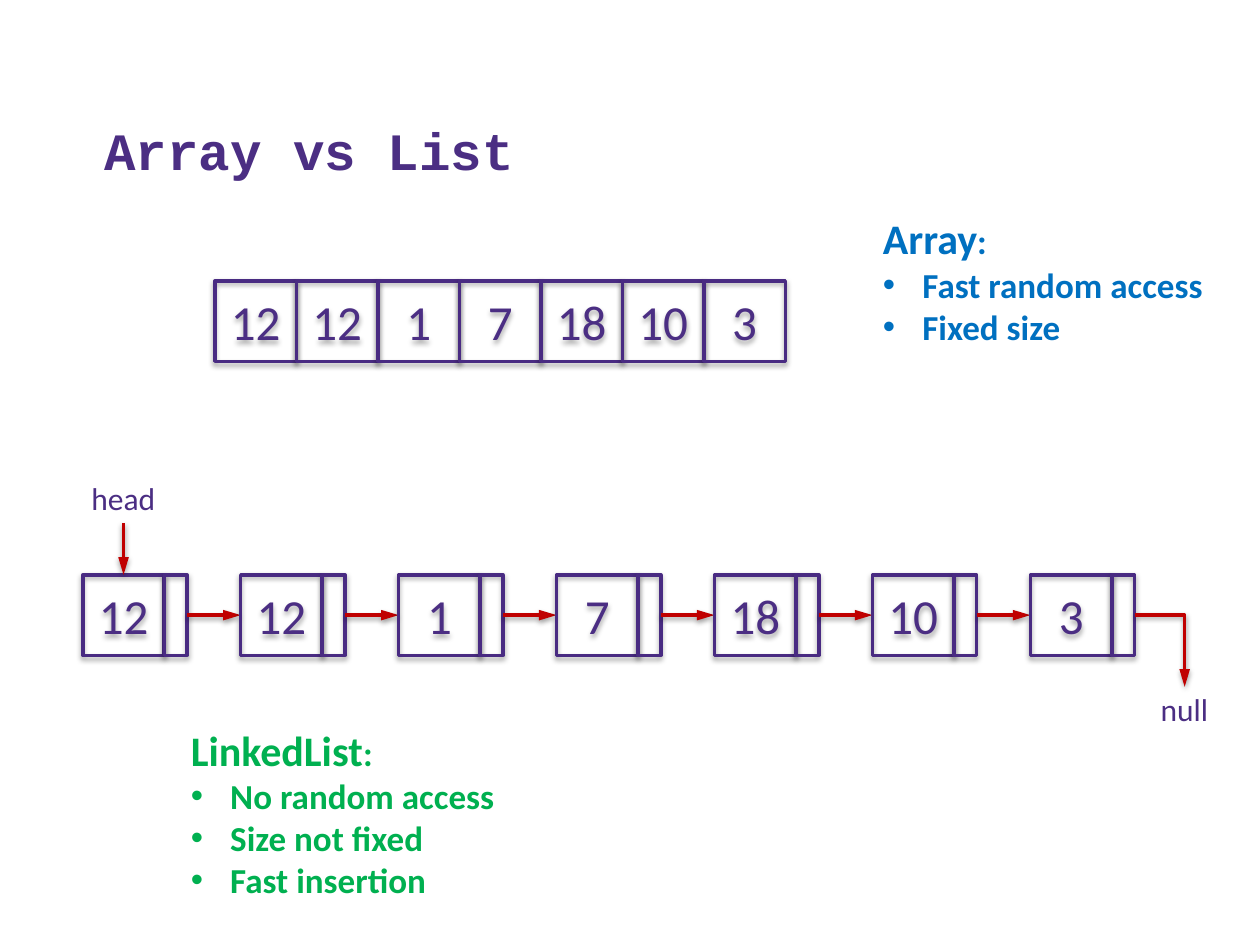
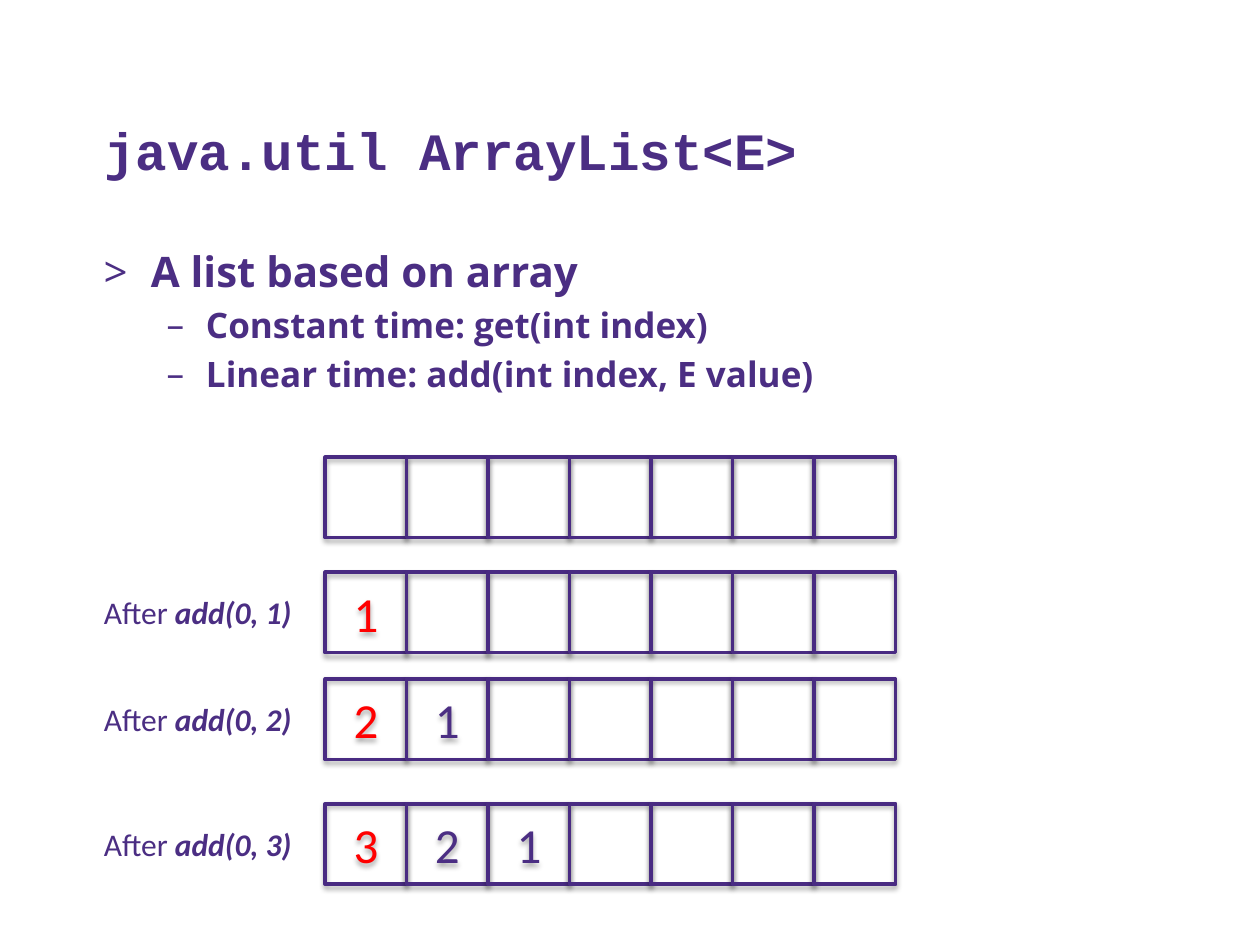
from lxml.etree import SubElement
from pptx import Presentation
from pptx.dml.color import RGBColor
from pptx.enum.shapes import MSO_CONNECTOR, MSO_SHAPE
from pptx.enum.text import MSO_ANCHOR, PP_ALIGN
from pptx.oxml.ns import qn
from pptx.util import Pt

# Shared colours and fonts
PURPLE, OUTLINE, RED = "4B2E83", "492B82", "FF0000"
BLUE, GREEN, ARROW = "0070C0", "00B050", "C00000"
TEXT_FONT, TITLE_FONT, BODY_FONT = "Calibri", "Courier New", "Open Sans"

# Shared grid, in points
CELL_WIDTH, CELL_HEIGHT, POINTER_WIDTH = 46.57, 46, 13
NODE_PITCH = 90.25
ARRAY_LENGTH = 7


def color(hex_string):
    return RGBColor.from_string(hex_string)


class Deck:
    """Holds the common style and the slide being built."""

    def __init__(self):
        self.presentation = Presentation()
        self.presentation.slide_width = Pt(720)
        self.presentation.slide_height = Pt(540)
        self.slide = None

    def new_slide(self, title, layout):
        layouts = self.presentation.slide_layouts
        self.slide = self.presentation.slides.add_slide(layouts.get_by_name(layout))
        shape = self.slide.shapes.title
        self.place(shape, 52.5, 29.5, 644.5, 77.8)
        shape.text_frame.vertical_anchor = MSO_ANCHOR.BOTTOM
        paragraph = shape.text_frame.paragraphs[0]
        paragraph.alignment = PP_ALIGN.LEFT
        self.run(paragraph, title, 30, font=TITLE_FONT, bold=True)

    def place(self, shape, left, top, width, height):
        shape.left, shape.top = Pt(left), Pt(top)
        shape.width, shape.height = Pt(width), Pt(height)

    def run(self, paragraph, text, size, hex_string=PURPLE, font=TEXT_FONT,
            bold=False, italic=False):
        run = paragraph.add_run()
        run.text = text
        run.font.name, run.font.size = font, Pt(size)
        run.font.bold, run.font.italic = bold, italic
        run.font.color.rgb = color(hex_string)

    def bullet(self, paragraph, character, margin, indent, font):
        properties = paragraph._p.get_or_add_pPr()
        properties.set("marL", str(Pt(margin)))
        properties.set("indent", str(Pt(-indent)))
        SubElement(properties, qn("a:buFont"), typeface=font)
        SubElement(properties, qn("a:buChar"), char=character)

    def shadow(self, shape, opacity, distance):
        effects = SubElement(shape._element.spPr, qn("a:effectLst"))
        outer = SubElement(effects, qn("a:outerShdw"), blurRad=str(Pt(3.1)),
                           dist=str(Pt(distance)), dir="5400000", rotWithShape="0")
        black = SubElement(outer, qn("a:srgbClr"), val="000000")
        SubElement(black, qn("a:alpha"), val=str(opacity * 1000))

    def cell(self, left, top, text="", hex_string=PURPLE, width=CELL_WIDTH):
        shape = self.slide.shapes.add_shape(
            MSO_SHAPE.RECTANGLE, Pt(left), Pt(top), Pt(width), Pt(CELL_HEIGHT))
        shape.fill.background()
        shape.line.color.rgb, shape.line.width = color(OUTLINE), Pt(2)
        self.shadow(shape, 35, 1.8)
        if text:
            shape.text_frame.vertical_anchor = MSO_ANCHOR.MIDDLE
            paragraph = shape.text_frame.paragraphs[0]
            paragraph.alignment = PP_ALIGN.CENTER
            self.run(paragraph, text, 28, hex_string)

    def array(self, left, top, values, first_color=PURPLE):
        for index in range(ARRAY_LENGTH):
            text = values[index] if index < len(values) else ""
            self.cell(left + index * CELL_WIDTH, top, text,
                      PURPLE if index else first_color)

    def arrow(self, start, end, bent=False):
        kind = MSO_CONNECTOR.ELBOW if bent else MSO_CONNECTOR.STRAIGHT
        connector = self.slide.shapes.add_connector(
            kind, *(Pt(value) for value in (*start, *end)))
        if bent:  # a single corner: across, then down
            connector._element.spPr.find(qn("a:prstGeom")).set("prst", "bentConnector2")
        connector.line.color.rgb, connector.line.width = color(ARROW), Pt(2)
        SubElement(connector.line._get_or_add_ln(), qn("a:tailEnd"),
                   type="triangle", w="med", len="lg")
        self.shadow(connector, 38, 1.6)

    def text_box(self, left, top, width, height, wrap=False):
        shape = self.slide.shapes.add_textbox(Pt(left), Pt(top), Pt(width), Pt(height))
        shape.text_frame.word_wrap = wrap
        return shape.text_frame

    def pointer_label(self, left, top, text):
        paragraph = self.text_box(left, top, 59, 29, wrap=True).paragraphs[0]
        paragraph.alignment = PP_ALIGN.CENTER
        self.run(paragraph, text, 18)

    def step_label(self, left, top, call):
        paragraph = self.text_box(left, top, 123, 29).paragraphs[0]
        self.run(paragraph, "After ", 18)
        self.run(paragraph, call, 18, bold=True, italic=True)

    def traits(self, left, top, width, height, heading, items, hex_string):
        frame = self.text_box(left, top, width, height)
        self.run(frame.paragraphs[0], heading, 24, hex_string, bold=True)
        self.run(frame.paragraphs[0], ":", 20, hex_string, bold=True)
        for item in items:
            paragraph = frame.add_paragraph()
            self.bullet(paragraph, "•", 22.5, 22.5, "Arial")
            self.run(paragraph, item, 20, hex_string, bold=True)

    def body(self, heading, items):
        shape = self.slide.placeholders[1]
        self.place(shape, 52, 136.8, 645, 316)
        frame = shape.text_frame
        paragraph = frame.paragraphs[0]
        self.bullet(paragraph, ">", 27, 27, BODY_FONT)
        paragraph.space_before = Pt(0)
        self.run(paragraph, heading, 24, font=BODY_FONT, bold=True)
        for item in items:
            paragraph = frame.add_paragraph()
            paragraph.level = 1
            self.bullet(paragraph, "–", 58.5, 22.5, BODY_FONT)
            self.run(paragraph, item, 20, font=BODY_FONT, bold=True)


def array_vs_list(deck):
    deck.new_slide("Array vs List", "Title Only")
    values = ["12", "12", "1", "7", "18", "10", "3"]
    deck.array(122.8, 160.5, values)

    # Linked nodes, each with a pointer to the next
    first_left, top = 47.3, 328.5
    middle = top + CELL_HEIGHT / 2
    node_width = CELL_WIDTH + POINTER_WIDTH
    for index, value in enumerate(values):
        left = first_left + index * NODE_PITCH
        right = left + node_width
        deck.cell(left, top, value)
        deck.cell(left + CELL_WIDTH, top, width=POINTER_WIDTH)
        if index < len(values) - 1:
            deck.arrow((right, middle), (left + NODE_PITCH, middle))
        else:
            deck.arrow((right, middle), (677, 392.5), bent=True)

    # Both ends of the chain
    head_center = first_left + CELL_WIDTH / 2
    deck.pointer_label(41, 270, "head")
    deck.arrow((head_center, 299), (head_center, top))
    deck.pointer_label(647.3, 391, "null")

    # Properties of each structure
    deck.traits(497.5, 118, 199, 85, "Array",
                ["Fast random access", "Fixed size"], BLUE)
    deck.traits(102, 410.4, 189, 109, "LinkedList",
                ["No random access", "Size not fixed", "Fast insertion"], GREEN)


def array_list(deck):
    deck.new_slide("java.util ArrayList<E>", "Title and Content")
    deck.body("A list based on array",
              ["Constant time: get(int index)", "Linear time: add(int index, E value)"])

    # The array after each insertion at the front
    for count, top in enumerate([261.2, 327, 388, 459.3]):
        values = [str(number) for number in range(count, 0, -1)]
        deck.array(185.8, top, values, first_color=RED)
        if count:
            deck.step_label(52.3, top + 8.6, f"add(0, {count})")


def main():
    deck = Deck()
    array_vs_list(deck)
    array_list(deck)
    deck.presentation.save("out.pptx")


if __name__ == "__main__":
    main()
